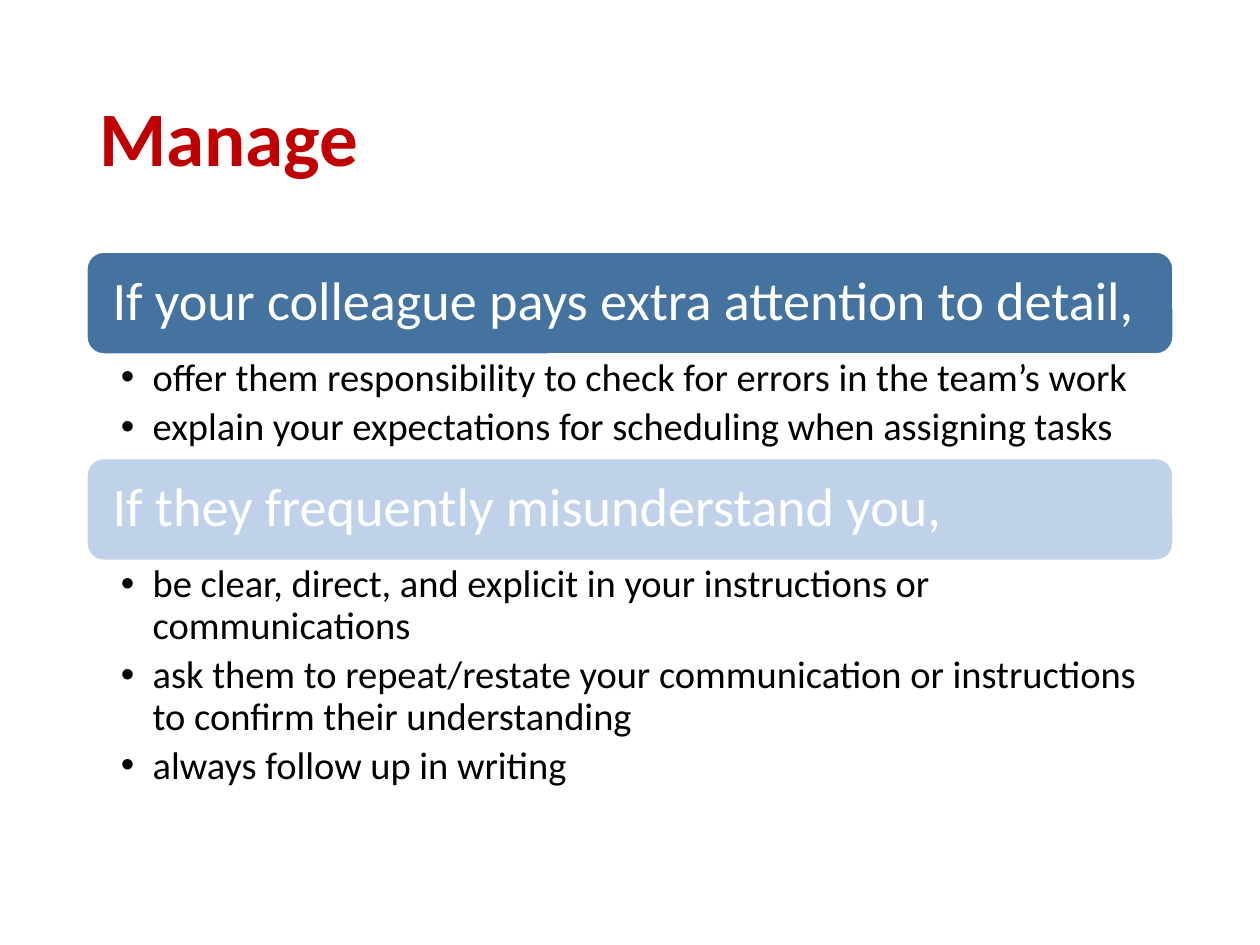
from lxml.etree import SubElement
from pptx import Presentation
from pptx.dml.color import RGBColor
from pptx.enum.shapes import MSO_SHAPE as Preset
from pptx.enum.text import MSO_ANCHOR as Anchor, PP_ALIGN as Align
from pptx.oxml.ns import qn
from pptx.util import Cm, Pt

RED = RGBColor(0xC0, 0x00, 0x00)
STEEL = RGBColor(0x43, 0x73, 0x9E)
PALE = RGBColor(0xC0, 0xD2, 0xEA)
WHITE = RGBColor(0xFF, 0xFF, 0xFF)
BLACK = RGBColor(0x00, 0x00, 0x00)

LEFT, WIDTH = 1.75, 21.9
BANNER_HEIGHT = 2.06
ADVICE = [
    (STEEL, 2.1, "If your colleague pays extra attention to detail,", [
        "offer them responsibility to check for errors in the team’s work",
        "explain your expectations for scheduling when assigning tasks",
    ]),
    (PALE, 4.8, "If they frequently misunderstand you,", [
        "be clear, direct, and explicit in your instructions or communications",
        "ask them to repeat/restate your communication or instructions "
        "to confirm their understanding",
        "always follow up in writing",
    ]),
]


class AdviceSlide:
    """Holds the current slide and its text style, and draws each kind of element."""

    font_name = "Calibri"
    line_spacing = 0.9

    def __init__(self, slide):
        self.slide = slide

    def style(self, paragraph, size, color, bold=False):
        paragraph.alignment = Align.LEFT
        paragraph.line_spacing = self.line_spacing
        for run in paragraph.runs:
            run.font.name = self.font_name
            run.font.size = Pt(size)
            run.font.bold = bold
            run.font.color.rgb = color

    def text_frame(self, top, height):
        box = self.slide.shapes.add_textbox(Cm(LEFT), Cm(top), Cm(WIDTH), Cm(height))
        box.text_frame.word_wrap = True
        return box.text_frame

    def title(self, text, top, height):
        frame = self.text_frame(top, height)
        frame.vertical_anchor = Anchor.MIDDLE
        frame.text = text
        self.style(frame.paragraphs[0], 44, RED, bold=True)

    def banner(self, text, top, fill):
        banner = self.slide.shapes.add_shape(
            Preset.ROUNDED_RECTANGLE, Cm(LEFT), Cm(top), Cm(WIDTH), Cm(BANNER_HEIGHT))
        banner.shadow.inherit = False
        banner.fill.solid()
        banner.fill.fore_color.rgb = fill
        banner.line.color.rgb = WHITE
        banner.line.width = Pt(1)
        frame = banner.text_frame
        frame.word_wrap = True
        frame.vertical_anchor = Anchor.MIDDLE
        frame.margin_left = frame.margin_right = Cm(0.42)
        frame.text = text
        self.style(frame.paragraphs[0], 31, WHITE)

    def bullets(self, items, top, height):
        frame = self.text_frame(top, height)
        frame.margin_left, frame.margin_right = Cm(0.69), Cm(0.43)
        frame.margin_top = frame.margin_bottom = Cm(0.08)
        frame.text = "\n".join(items)
        for paragraph in frame.paragraphs:
            paragraph.level = 1
            paragraph.space_after = Pt(4.4)
            self.style(paragraph, 22, BLACK)
            properties = paragraph._p.get_or_add_pPr()
            properties.set("marL", str(Cm(0.64)))
            properties.set("indent", str(-Cm(0.64)))
            SubElement(properties, qn("a:buFont"), typeface="Arial")
            SubElement(properties, qn("a:buChar"), char="•")


def main():
    presentation = Presentation()
    presentation.slide_width, presentation.slide_height = Cm(25.4), Cm(19.05)
    advice = AdviceSlide(presentation.slides.add_slide(presentation.slide_layouts[6]))
    advice.title("Manage", 1.02, 3.68)
    top = 5.08
    for fill, list_height, condition, actions in ADVICE:
        advice.banner(condition, top, fill)
        advice.bullets(actions, top + BANNER_HEIGHT, list_height)
        top += BANNER_HEIGHT + list_height
    presentation.save("out.pptx")


if __name__ == "__main__":
    main()
